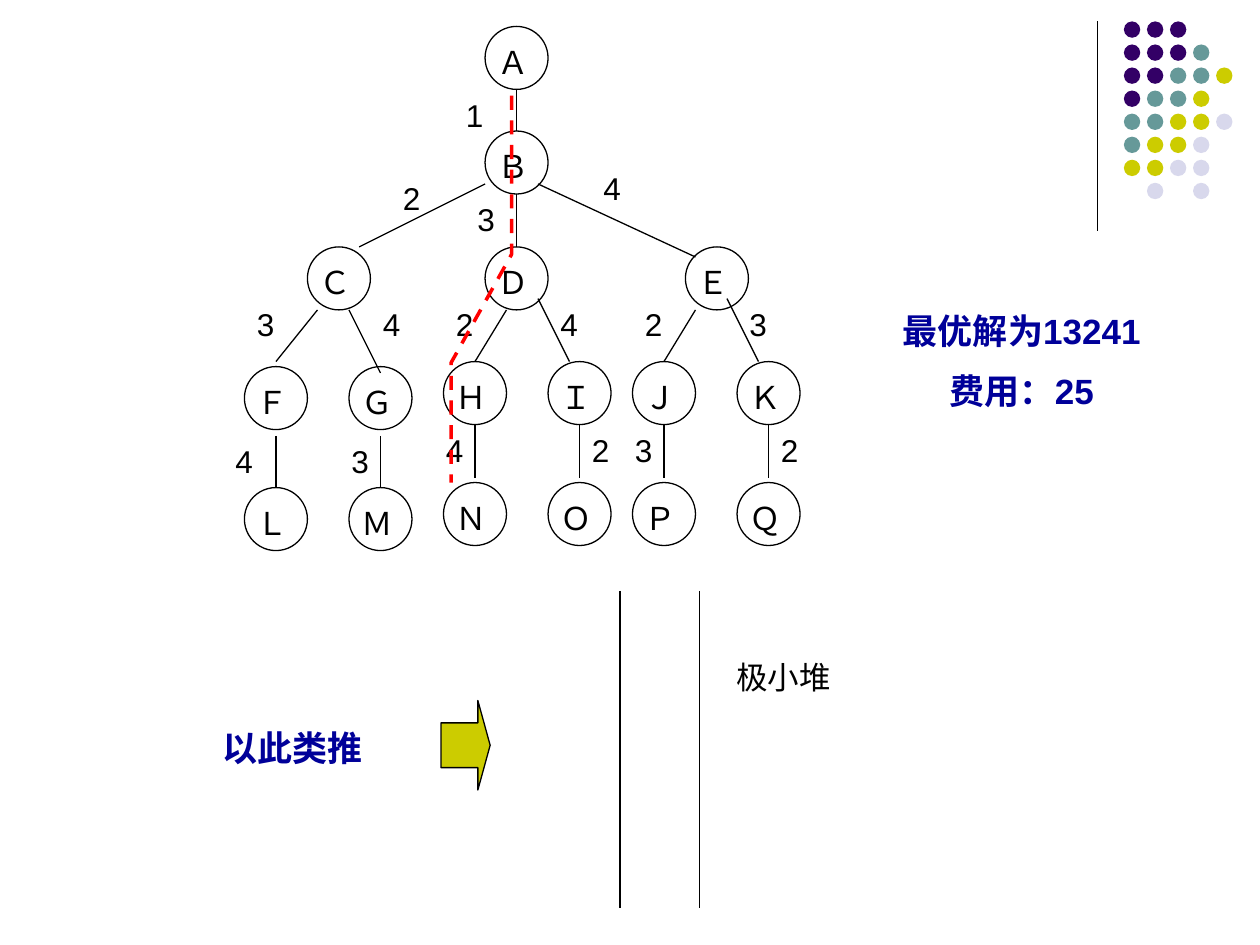
from typing import NamedTuple

from pptx import Presentation
from pptx.dml.color import RGBColor
from pptx.enum.dml import MSO_LINE
from pptx.enum.shapes import MSO_CONNECTOR, MSO_SHAPE
from pptx.enum.text import MSO_AUTO_SIZE as FIT, PP_ALIGN as ALIGN
from pptx.oxml.ns import qn
from pptx.util import Inches, Pt
from lxml.etree import SubElement

BLACK = RGBColor(0x00, 0x00, 0x00)
NAVY = RGBColor(0x00, 0x00, 0x99)
RED = RGBColor(0xFF, 0x00, 0x00)
PURPLE = RGBColor(0x33, 0x00, 0x66)
TEAL = RGBColor(0x66, 0x99, 0x99)
OLIVE = RGBColor(0xCC, 0xCC, 0x00)
LILAC = RGBColor(0xD8, 0xD8, 0xEC)

FONT = "Arial"
NODE = 0.5
DOT = 0.13


class Node(NamedTuple):
    name: str
    x: float
    y: float


class Edge(NamedTuple):
    x1: float
    y1: float
    x2: float
    y2: float


class Cost(NamedTuple):
    text: str
    x: float
    y: float


DOT_HUES = {"p": PURPLE, "t": TEAL, "o": OLIVE, "l": LILAC}
DOT_ROWS = ["ppp", "pppt", "pptto", "ptto", "ttool", "tool", "ooll", " l l"]

NODES = [
    Node("Ａ", 3.85, 0.21), Node("Ｂ", 3.85, 1.04),
    Node("Ｃ", 2.44, 1.96), Node("Ｄ", 3.85, 1.96), Node("Ｅ", 5.44, 1.96),
    Node("Ｆ", 1.94, 2.91), Node("Ｇ", 2.77, 2.91),
    Node("Ｈ", 3.52, 2.87), Node("Ｉ", 4.35, 2.87),
    Node("Ｊ", 5.02, 2.87), Node("Ｋ", 5.85, 2.87),
    Node("Ｌ", 1.94, 3.87), Node("Ｍ", 2.77, 3.87),
    Node("Ｎ", 3.52, 3.83), Node("Ｏ", 4.35, 3.83),
    Node("Ｐ", 5.02, 3.83), Node("Ｑ", 5.85, 3.83),
]

EDGES = [
    Edge(4.1, 0.71, 4.1, 1.04), Edge(4.1, 1.54, 4.1, 1.96),
    Edge(3.85, 1.46, 2.85, 1.96), Edge(5.52, 2.04, 4.27, 1.46),
    Edge(4.02, 2.46, 3.77, 2.87), Edge(2.52, 2.46, 2.19, 2.87),
    Edge(5.52, 2.46, 5.27, 2.87), Edge(6.02, 2.87, 5.77, 2.37),
    Edge(4.52, 2.87, 4.27, 2.37), Edge(3.02, 2.96, 2.77, 2.46),
]
EDGES += [Edge(x, 3.46, x, 3.87) for x in (2.19, 3.02)]
EDGES += [Edge(x, 3.37, x, 3.79) for x in (3.77, 4.6, 5.27, 6.1)]

COSTS = [
    Cost("1", 3.6, 0.71), Cost("3", 3.69, 1.54),
    Cost("4", 4.69, 1.29), Cost("2", 3.1, 1.37),
    Cost("3", 1.94, 2.37), Cost("4", 2.94, 2.37),
    Cost("2", 3.52, 2.37), Cost("4", 4.35, 2.37),
    Cost("2", 5.02, 2.37), Cost("3", 5.85, 2.37),
    Cost("4", 1.77, 3.46), Cost("3", 2.69, 3.46),
    Cost("4", 3.44, 3.37), Cost("2", 4.6, 3.37),
    Cost("3", 4.94, 3.37), Cost("2", 6.1, 3.37),
]

BEST_PATH = [(4.06, 0.76), (4.06, 2.02), (3.58, 2.88), (3.58, 3.83)]


def add_text(slide, text: str, x: float, y: float, w: float, h: float, *,
             size=18, color=BLACK, bold=False, align=ALIGN.LEFT) -> None:
    frame = slide.shapes.add_textbox(
        Inches(x), Inches(y), Inches(w), Inches(h)).text_frame
    frame.word_wrap = True
    frame.auto_size = FIT.SHAPE_TO_FIT_TEXT
    frame.text = text
    for i, para in enumerate(frame.paragraphs):
        para.alignment = align
        if i:
            para.space_before = Pt(size / 2)
        font = para.runs[0].font
        font.name, font.size, font.bold = FONT, Pt(size), bold
        font.color.rgb = color


def add_shape(slide, kind, x: float, y: float, w: float, h: float, *,
              fill=None, line=None):
    shape = slide.shapes.add_shape(
        kind, Inches(x), Inches(y), Inches(w), Inches(h))
    shape.shadow.inherit = False
    if fill is None:
        shape.fill.background()
    else:
        shape.fill.solid()
        shape.fill.fore_color.rgb = fill
    if line is None:
        shape.line.fill.background()
    else:
        shape.line.color.rgb = line
        shape.line.width = Pt(0.75)
    return shape


def add_line(slide, edge: Edge) -> None:
    line = slide.shapes.add_connector(
        MSO_CONNECTOR.STRAIGHT, *(Inches(v) for v in edge))
    line.line.color.rgb = BLACK
    line.line.width = Pt(0.75)
    SubElement(line._element.spPr, qn("a:effectLst"))


def add_dots(slide) -> None:
    """Draw the corner ornament on an even grid."""
    step = 0.183
    for r, row in enumerate(DOT_ROWS):
        for c, key in enumerate(row):
            if key in DOT_HUES:
                add_shape(slide, MSO_SHAPE.OVAL, 8.92 + c * step,
                          0.17 + r * step, DOT, DOT, fill=DOT_HUES[key])


def add_tree(slide) -> None:
    for node in NODES:
        add_shape(slide, MSO_SHAPE.OVAL, node.x, node.y, NODE, NODE,
                  line=BLACK)
        add_text(slide, node.name, node.x, node.y + 0.08, 0.42, 0.4)
    for edge in EDGES:
        add_line(slide, edge)
    for cost in COSTS:
        add_text(slide, cost.text, cost.x, cost.y, 0.33, 0.4)


def add_path(slide) -> None:
    """Mark the cheapest route with a dashed line."""
    first, *rest = [(Inches(x), Inches(y)) for x, y in BEST_PATH]
    pen = slide.shapes.build_freeform(*first)
    pen.add_line_segments(rest, close=False)
    path = pen.convert_to_shape()
    path.shadow.inherit = False
    path.fill.background()
    path.line.color.rgb = RED
    path.line.width = Pt(2)
    path.line.dash_style = MSO_LINE.DASH


def main() -> None:
    deck = Presentation()
    deck.slide_width, deck.slide_height = Inches(10), Inches(7.5)
    slide = deck.slides.add_slide(deck.slide_layouts[6])

    add_line(slide, Edge(8.71, 0.17, 8.71, 1.83))
    add_dots(slide)
    add_tree(slide)
    add_path(slide)

    strong = dict(size=20, color=NAVY, bold=True, align=ALIGN.CENTER)
    add_text(slide, "最优解为13241\n费用：25", 6.73, 2.41, 2.76, 0.93, **strong)
    add_text(slide, "极小堆", 5.63, 5.17, 1.18, 0.4, align=ALIGN.CENTER)
    for x in (4.92, 5.55):
        add_line(slide, Edge(x, 4.69, x, 7.21))
    add_text(slide, "以此类推", 1.38, 5.72, 1.89, 0.43, **strong)
    arrow = add_shape(slide, MSO_SHAPE.RIGHT_ARROW, 3.5, 5.56, 0.39, 0.71,
                      fill=OLIVE, line=BLACK)
    arrow.adjustments[0], arrow.adjustments[1] = 0.5, 0.25

    deck.save("out.pptx")


if __name__ == "__main__":
    main()
